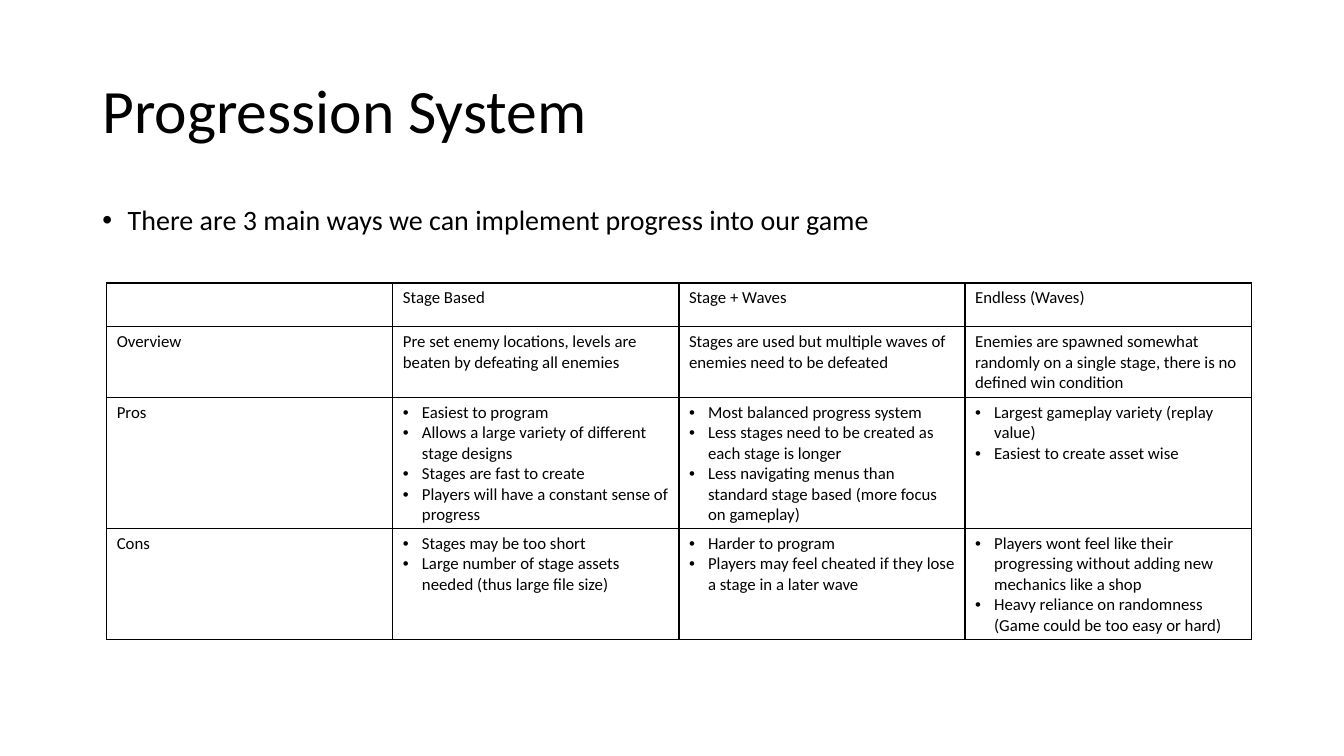
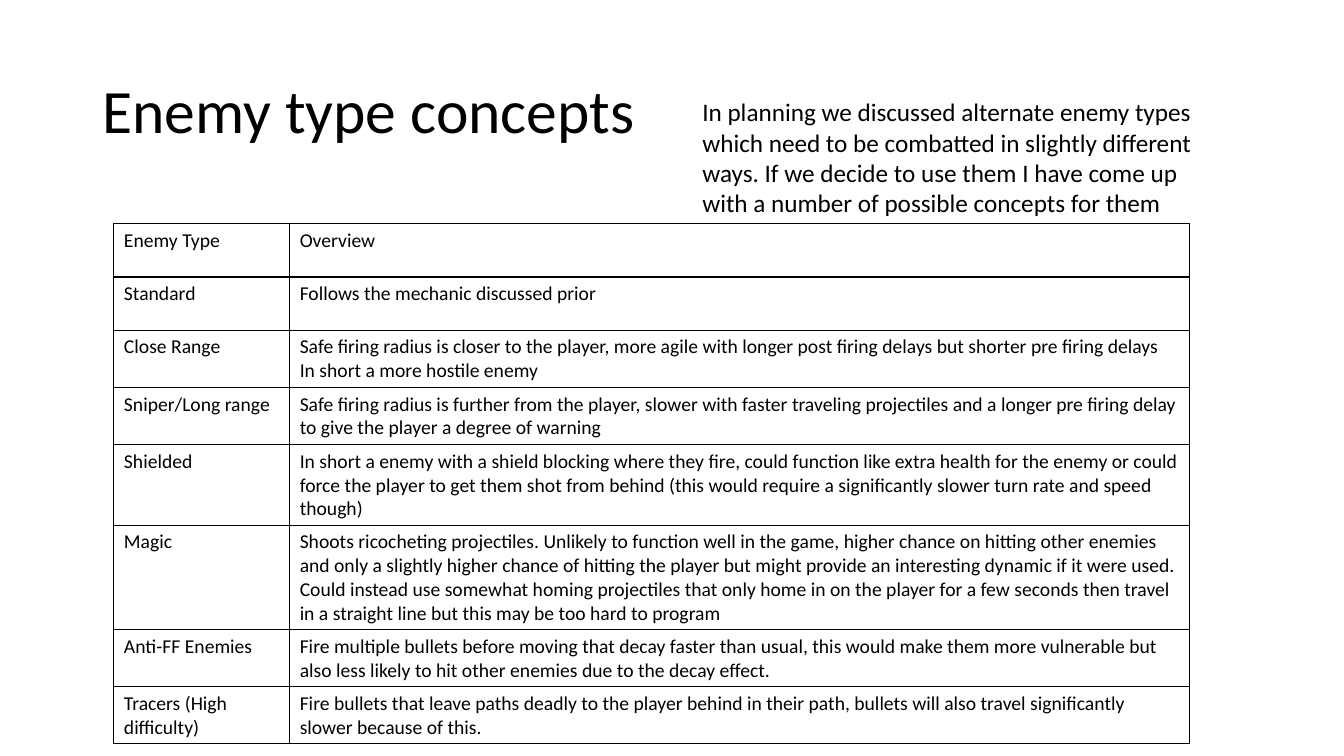
from pptx import Presentation
from pptx.dml.color import RGBColor
from pptx.enum import text as t
from pptx.oxml import parse_xml
from pptx.oxml.ns import nsdecls
from pptx.util import Cm, Pt

BLACK = RGBColor(0, 0, 0)
WHITE = RGBColor(255, 255, 255)
FONT = "Calibri"
LEFT, WIDTH = 2.33, 29.21  # title and body column, in cm

# A list in a cell becomes bullets; a string is plain text.
WAYS = [
    ["", "Stage Based", "Stage + Waves", "Endless (Waves)"],
    ["Overview",
     "Pre set enemy locations, levels are beaten by defeating all enemies",
     "Stages are used but multiple waves of enemies need to be defeated",
     "Enemies are spawned somewhat randomly on a single stage, "
     "there is no defined win condition"],
    ["Pros",
     ["Easiest to program",
      "Allows a large variety of different stage designs",
      "Stages are fast to create",
      "Players will have a constant sense of progress"],
     ["Most balanced progress system",
      "Less stages need to be created as each stage is longer",
      "Less navigating menus than standard stage based "
      "(more focus on gameplay)"],
     ["Largest gameplay variety (replay value)",
      "Easiest to create asset wise"]],
    ["Cons",
     ["Stages may be too short",
      "Large number of stage assets needed (thus large file size)"],
     ["Harder to program",
      "Players may feel cheated if they lose a stage in a later wave"],
     ["Players wont feel like their progressing without adding new "
      "mechanics like a shop",
      "Heavy reliance on randomness (Game could be too easy or hard)"]],
]

ENEMIES = [
    ["Enemy Type", "Overview"],
    ["Standard", "Follows the mechanic discussed prior"],
    ["Close Range",
     "Safe firing radius is closer to the player, more agile with longer "
     "post firing delays but shorter pre firing delays\n"
     "In short a more hostile enemy"],
    ["Sniper/Long range",
     "Safe firing radius is further from the player, slower with faster "
     "traveling projectiles and a longer pre firing delay to give the "
     "player a degree of warning"],
    ["Shielded",
     "In short a enemy with a shield blocking where they fire, could "
     "function like extra health for the enemy or could force the player "
     "to get them shot from behind (this would require a significantly "
     "slower turn rate and speed though)"],
    ["Magic",
     "Shoots ricocheting projectiles. Unlikely to function well in the "
     "game, higher chance on hitting other enemies and only a slightly "
     "higher chance of hitting the player but might provide an "
     "interesting dynamic if it were used.\n"
     "Could instead use somewhat homing projectiles that only home in on "
     "the player for a few seconds then travel in a straight line but "
     "this may be too hard to program"],
    ["Anti-FF Enemies",
     "Fire multiple bullets before moving that decay faster than usual, "
     "this would make them more vulnerable but also less likely to hit "
     "other enemies due to the decay effect."],
    ["Tracers (High difficulty)",
     "Fire bullets that leave paths deadly to the player behind in their "
     "path, bullets will also travel significantly slower because of this."],
]


# Text
def write(frame, words, size):
    frame.text = words
    for para in frame.paragraphs:
        for run in para.runs:
            run.font.name = FONT
            run.font.size = Pt(size)
            run.font.color.rgb = BLACK


def bullet(para, indent):
    props = para._p.get_or_add_pPr()
    props.set("marL", str(Cm(indent)))
    props.set("indent", str(-Cm(indent)))
    props.append(parse_xml(f'<a:buFont {nsdecls("a")} typeface="Arial"/>'))
    props.append(parse_xml(f'<a:buChar {nsdecls("a")} char="•"/>'))


def add_text(slide, words, size, left, top, width, height):
    box = slide.shapes.add_textbox(Cm(left), Cm(top), Cm(width), Cm(height))
    frame = box.text_frame
    frame.word_wrap = True
    write(frame, words, size)
    return frame


def add_title(slide, words):
    frame = add_text(slide, words, 44, LEFT, 1.01, WIDTH, 3.68)
    frame.vertical_anchor = t.MSO_ANCHOR.MIDDLE
    frame.paragraphs[0].line_spacing = 0.9


def add_point(slide, words):
    frame = add_text(slide, words, 20, LEFT, 5.07, WIDTH, 1.68)
    para = frame.paragraphs[0]
    para.line_spacing = 0.9
    para.space_before = Pt(10)
    bullet(para, 0.64)


# Tables
def frame_cell(cell):
    cell.fill.solid()
    cell.fill.fore_color.rgb = WHITE
    props = cell._tc.get_or_add_tcPr()
    for place, side in enumerate("LRTB"):
        props.insert(place, parse_xml(
            f'<a:ln{side} {nsdecls("a")} w="{Pt(1)}"><a:solidFill>'
            f'<a:srgbClr val="{BLACK}"/></a:solidFill></a:ln{side}>'))


def add_grid(slide, data, size, left, top, widths, heights):
    grid = slide.shapes.add_table(
        len(data), len(widths), Cm(left), Cm(top),
        Cm(sum(widths)), Cm(sum(heights))).table
    grid.first_row = grid.horz_banding = False
    for column, width in zip(grid.columns, widths):
        column.width = Cm(width)
    for row, height, items in zip(grid.rows, heights, data):
        row.height = Cm(height)
        for cell, item in zip(row.cells, items):
            listed = isinstance(item, list)
            write(cell.text_frame, "\n".join(item) if listed else item, size)
            if listed:
                for para in cell.text_frame.paragraphs:
                    bullet(para, 0.48)
            frame_cell(cell)


# Slides
def main():
    deck = Presentation()
    deck.slide_width, deck.slide_height = Cm(33.87), Cm(19.05)
    blank = deck.slide_layouts[6]

    slide = deck.slides.add_slide(blank)
    add_title(slide, "Progression System")
    add_point(slide, "There are 3 main ways we can implement progress "
                     "into our game")
    add_grid(slide, WAYS, 12, 2.69, 7.13, [7.21] * 4, [1.1, 1.1, 2.8, 2.8])

    slide = deck.slides.add_slide(blank)
    add_title(slide, "Enemy type concepts")
    intro = add_text(
        slide, "In planning we discussed alternate enemy types which need to "
        "be combatted in slightly different ways. If we decide to use them I "
        "have come up with a number of possible concepts for them",
        18, 17.45, 2.31, 13.41, 3.33)
    intro.auto_size = t.MSO_AUTO_SIZE.SHAPE_TO_FIT_TEXT
    add_grid(slide, ENEMIES, 14, 2.87, 5.64, [4.43, 22.68],
             [1.34] * len(ENEMIES))

    deck.save("out.pptx")


if __name__ == "__main__":
    main()
